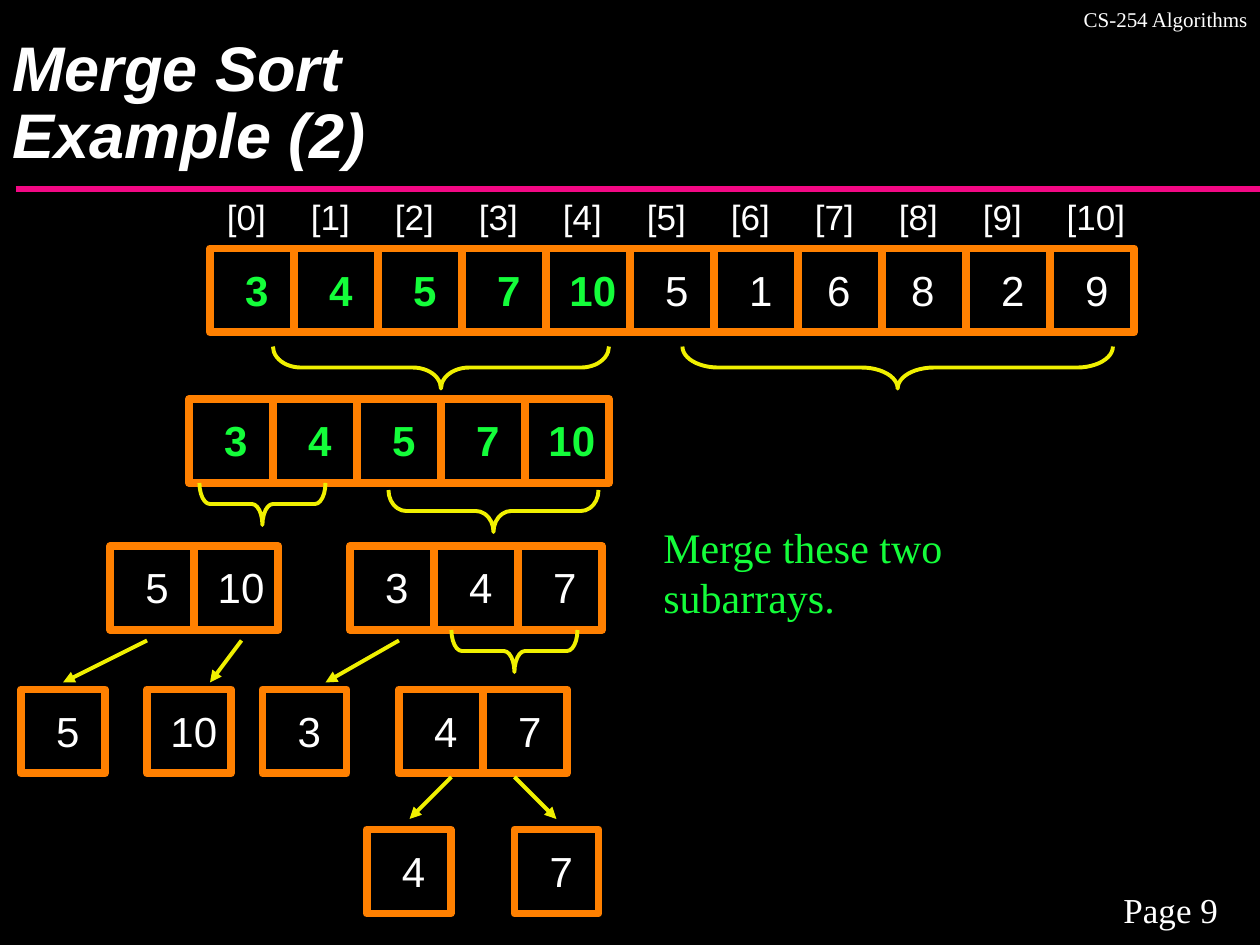
from dataclasses import dataclass

from lxml import etree
from pptx import Presentation
from pptx.dml.color import RGBColor
from pptx.enum.shapes import MSO_CONNECTOR, MSO_SHAPE
from pptx.enum.text import MSO_ANCHOR, PP_ALIGN
from pptx.oxml.ns import qn
from pptx.util import Pt

STRAIGHT = MSO_CONNECTOR.STRAIGHT
RECTANGLE, LEFT_BRACE = MSO_SHAPE.RECTANGLE, MSO_SHAPE.LEFT_BRACE
TOP, MIDDLE, BOTTOM = MSO_ANCHOR.TOP, MSO_ANCHOR.MIDDLE, MSO_ANCHOR.BOTTOM
LEFT, CENTER, RIGHT = PP_ALIGN.LEFT, PP_ALIGN.CENTER, PP_ALIGN.RIGHT


@dataclass(frozen=True)
class Theme:
    background: str = "000000"
    text: str = "FFFFFF"
    sorted_text: str = "14FD3A"
    rule: str = "F20884"
    cell: str = "FF8000"
    link: str = "F0F000"
    sans: str = "Arial"
    serif: str = "Times New Roman"
    title_size: float = 36
    value_size: float = 24
    index_size: float = 20
    header_size: float = 12
    rule_width: float = 3.75
    cell_width: float = 4.5
    link_width: float = 2.25


@dataclass(frozen=True)
class Subarray:
    left: float
    top: float
    values: tuple[int, ...]
    sorted_count: int = 0
    shifted: tuple[int, ...] = ()  # positions whose digit sits further left


@dataclass(frozen=True)
class Brace:
    left: float
    top: float
    length: float


@dataclass(frozen=True)
class Arrow:
    start: tuple[float, float]
    end: tuple[float, float]


THEME = Theme()
CELL = 48
VALUE_INSET, VALUE_TOP, VALUE_SHIFT = 5.2, 9, 3.5
VALUE_WIDTH, VALUE_HEIGHT = 43.2, 28.8
BRACE_DEPTH = 24
BRACE_CURVE = 288  # brace length at which the curve ratio reaches one

SUBARRAYS = (
    Subarray(120, 142, (3, 4, 5, 7, 10, 5, 1, 6, 8, 2, 9), 5, (7, 8)),
    Subarray(108, 228, (3, 4, 5, 7, 10), 5),
    Subarray(63, 312, (5, 10)),
    Subarray(200, 312, (3, 4, 7)),
    Subarray(12, 394, (5,)),
    Subarray(84, 394, (10,)),
    Subarray(150, 394, (3,)),
    Subarray(228, 394, (4, 7)),
    Subarray(209.5, 474, (4,)),
    Subarray(294, 474, (7,)),
)
BRACES = (
    Brace(156, 198, 192),
    Brace(390, 198, 246),
    Brace(222, 280, 120),
    Brace(114, 276, 72),
    Brace(258, 360, 72),
)
ARROWS = (
    Arrow((84, 366), (36, 390)),
    Arrow((138, 366), (120, 390)),
    Arrow((228, 366), (186, 390)),
    Arrow((258, 444), (234, 468)),
    Arrow((294, 444), (318, 468)),
)


def add_text(page, text: str, place: tuple[float, ...], size: float, font: str,
             color: str = THEME.text, align=LEFT, anchor=TOP, wrap: bool = True,
             spacing: float = 1.0, **style: bool) -> None:
    frame = page.shapes.add_textbox(*map(Pt, place)).text_frame
    frame.word_wrap, frame.vertical_anchor = wrap, anchor
    para = frame.paragraphs[0]
    para.text, para.alignment, para.line_spacing = text, align, spacing
    formats = {"size": Pt(size), "name": font, **style}
    for span in para.runs:
        for name, value in formats.items():
            setattr(span.font, name, value)
        span.font.color.rgb = RGBColor.from_string(color)


def set_line(item, color: str, width: float) -> None:
    item.line.color.rgb = RGBColor.from_string(color)
    item.line.width = Pt(width)


def add_outline(page, kind, place: tuple[float, ...], color: str, width: float):
    shape = page.shapes.add_shape(kind, *map(Pt, place))
    shape.shadow.inherit = False
    shape.fill.background()
    set_line(shape, color, width)
    return shape


def add_line(page, start: tuple[float, float], end: tuple[float, float],
             color: str, width: float, arrowhead: bool = False) -> None:
    line = page.shapes.add_connector(STRAIGHT, *map(Pt, start + end))
    set_line(line, color, width)
    if arrowhead:
        outline = line.line._get_or_add_ln()
        etree.SubElement(outline, qn("a:tailEnd"), type="triangle")
    etree.SubElement(line._element.spPr, qn("a:effectLst"))


def add_subarray(page, subarray: Subarray) -> None:
    lefts = [subarray.left + CELL * i for i in range(len(subarray.values))]
    for left in lefts:
        add_outline(page, RECTANGLE, (left, subarray.top, CELL, CELL),
                    THEME.cell, THEME.cell_width)
    for i, (left, value) in enumerate(zip(lefts, subarray.values)):
        is_sorted = i < subarray.sorted_count
        shift = VALUE_SHIFT if i in subarray.shifted else 0
        place = (left + VALUE_INSET - shift, subarray.top + VALUE_TOP,
                 VALUE_WIDTH, VALUE_HEIGHT)
        add_text(page, str(value), place, THEME.value_size, THEME.sans,
                 THEME.sorted_text if is_sorted else THEME.text,
                 CENTER, MIDDLE, wrap=False, bold=is_sorted)


def add_brace(page, brace: Brace) -> None:
    # A left brace turned to point down, so its frame is upright about the centre
    offset = (brace.length - BRACE_DEPTH) / 2
    place = (brace.left + offset, brace.top - offset, BRACE_DEPTH, brace.length)
    shape = add_outline(page, LEFT_BRACE, place, THEME.link, THEME.link_width)
    shape.rotation = 270
    shape.adjustments[0] = brace.length / BRACE_CURVE
    shape.adjustments[1] = 0.5


def main() -> None:
    deck = Presentation()
    deck.slide_width, deck.slide_height = Pt(720), Pt(540)
    page = deck.slides.add_slide(deck.slide_layouts[6])
    page.background.fill.solid()
    page.background.fill.fore_color.rgb = RGBColor.from_string(THEME.background)

    # Page furniture and title
    add_line(page, (9, 108), (720, 108), THEME.rule, THEME.rule_width)
    add_text(page, "Page 9", (618, 504, 102, 31), THEME.index_size, THEME.serif,
             align=CENTER)
    add_text(page, "CS-254 Algorithms", (402, 0, 318, 21.6), THEME.header_size,
             THEME.serif, align=RIGHT)
    add_text(page, "Merge Sort\nExample (2)", (0, 0, 720, 102), THEME.title_size,
             THEME.sans, anchor=BOTTOM, spacing=0.89, bold=True, italic=True)

    # Index labels above the full array
    full_array = SUBARRAYS[0]
    for i in range(len(full_array.values)):
        width = 36.7 if i < 10 else 47.8
        add_text(page, f"[{i}]", (122.4 + CELL * i, 108, width, 31),
                 THEME.index_size, THEME.sans, align=CENTER, anchor=MIDDLE,
                 wrap=False)

    # Merge tree
    for subarray in SUBARRAYS:
        add_subarray(page, subarray)
    for brace in BRACES:
        add_brace(page, brace)
    for arrow in ARROWS:
        add_line(page, arrow.start, arrow.end, THEME.link, THEME.link_width,
                 arrowhead=True)

    # Instruction
    add_text(page, "Merge these two subarrays.", (372, 294, 192, 65),
             THEME.value_size, THEME.serif, THEME.sorted_text, anchor=MIDDLE)

    deck.save("out.pptx")


if __name__ == "__main__":
    main()
